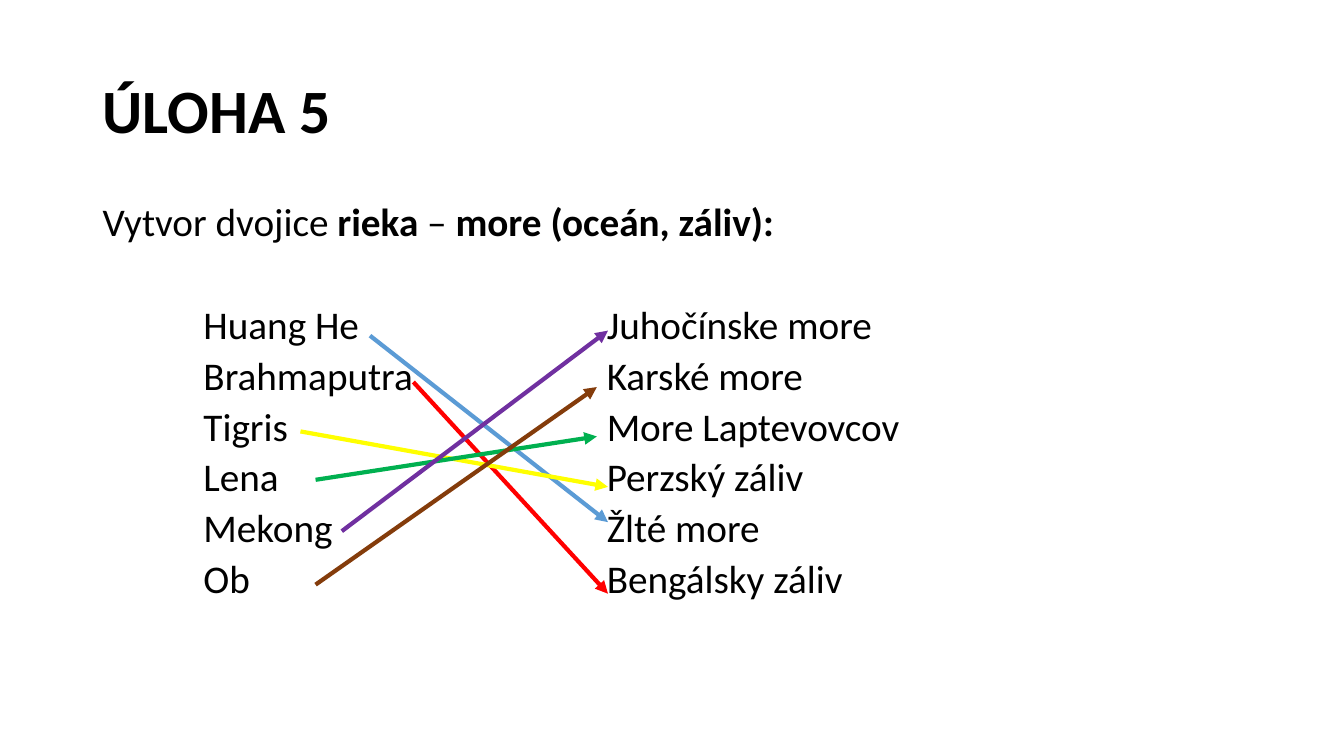
from pptx import Presentation
from pptx.dml.color import RGBColor
from pptx.enum import shapes, text
from pptx.oxml import ns
from pptx.util import Inches, Pt
from lxml import etree

# Content
TITLE = "ÚLOHA 5"
INTRO = [("Vytvor dvojice ", False), ("rieka", True), (" – ", False),
         ("more (oceán, záliv):", True)]
RIVERS_AND_SEAS = [
    ("Huang He", "Juhočínske more"),
    ("Brahmaputra", "Karské more"),
    ("Tigris", "More Laptevovcov"),
    ("Lena", "Perzský záliv"),
    ("Mekong", "Žlté more"),
    ("Ob", "Bengálsky záliv"),
]
# Start point, end point, colour
ANSWER_ARROWS = [
    ((3.67, 3.33), (6.03, 5.18), "5B9BD5"),
    ((4.1, 3.79), (6.03, 5.89), "FF0000"),
    ((2.98, 4.28), (6.03, 4.83), "FFFF00"),
    ((3.13, 4.76), (5.92, 4.33), "00B050"),
    ((3.39, 5.27), (6.03, 3.28), "7030A0"),
    ((3.13, 5.8), (5.92, 3.84), "843C0B"),
]
THEME = {"font": "Calibri", "ink": "000000", "title": 44, "body": 28,
         "arrow": 3, "row_gap": 9.5, "list_gap": 46.3}
COLUMN_TABS = (1, 5)

presentation = Presentation()
presentation.slide_width, presentation.slide_height = Inches(13.33), Inches(7.5)
slide = presentation.slides.add_slide(presentation.slide_layouts[6])


def add_frame(top, height, anchor):
    frame = slide.shapes.add_textbox(
        Inches(0.92), Inches(top), Inches(11.5), Inches(height)).text_frame
    frame.word_wrap = True
    frame.vertical_anchor = anchor
    return frame


def add_run(paragraph, words, size, bold=False):
    run = paragraph.add_run()
    run.text = words
    run.font.name = THEME["font"]
    run.font.size = Pt(size)
    run.font.bold = bold
    run.font.color.rgb = RGBColor.from_string(THEME["ink"])


def add_tabs(paragraph):
    tab_list = etree.SubElement(paragraph._p.get_or_add_pPr(), ns.qn("a:tabLst"))
    for position in COLUMN_TABS:
        etree.SubElement(tab_list, ns.qn("a:tab"),
                         pos=str(Inches(position)), algn="l")


# Title
title = add_frame(0.4, 1.45, text.MSO_ANCHOR.MIDDLE).paragraphs[0]
title.line_spacing = 0.9
add_run(title, TITLE, THEME["title"], True)

# Task and the two columns
body = add_frame(2, 4.76, text.MSO_ANCHOR.TOP)
intro = body.paragraphs[0]
intro.line_spacing = 0.8
for words, bold in INTRO:
    add_run(intro, words, THEME["body"], bold)
for index, (river, sea) in enumerate(RIVERS_AND_SEAS):
    row = body.add_paragraph()
    add_tabs(row)
    row.line_spacing = 0.8
    row.space_before = Pt(THEME["row_gap" if index else "list_gap"])
    add_run(row, f"\t{river}\t{sea}", THEME["body"])

# Answer arrows
for start, end, colour in ANSWER_ARROWS:
    arrow = slide.shapes.add_connector(
        shapes.MSO_CONNECTOR.STRAIGHT, *map(Inches, start + end))
    arrow.line.color.rgb = RGBColor.from_string(colour)
    arrow.line.width = Pt(THEME["arrow"])
    etree.SubElement(arrow.line._get_or_add_ln(), ns.qn("a:tailEnd"), type="triangle")
    etree.SubElement(arrow._element.spPr, ns.qn("a:effectLst"))

presentation.save("out.pptx")
